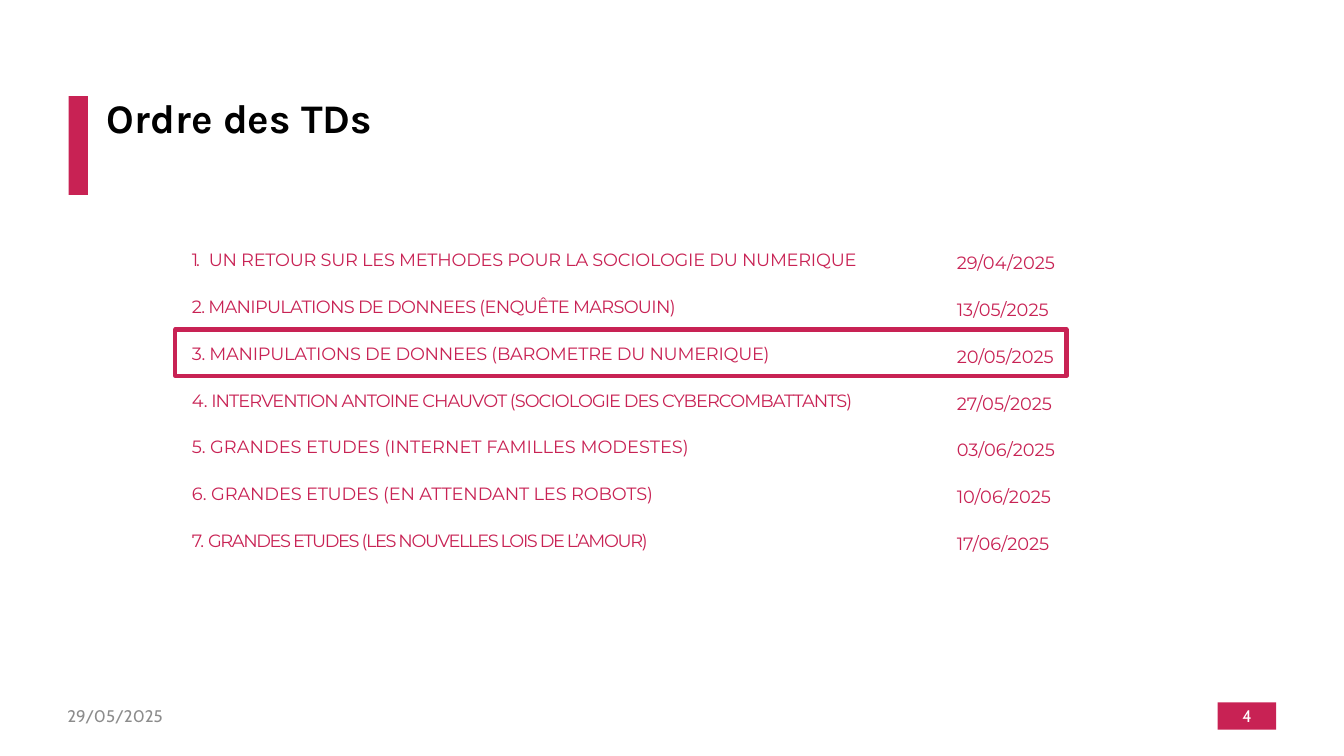
from dataclasses import dataclass

from pptx import Presentation
from pptx.dml.color import RGBColor
from pptx.enum.shapes import MSO_SHAPE as Preset
from pptx.enum.text import MSO_ANCHOR as Anchor, MSO_AUTO_SIZE as AutoSize, PP_ALIGN as Align
from pptx.shapes.autoshape import Shape
from pptx.shapes.shapetree import GroupShapes, SlideShapes
from pptx.text.text import TextFrame
from pptx.util import Pt

CRIMSON = RGBColor(0xC8, 0x22, 0x54)
BLACK = RGBColor(0, 0, 0)
GREY = RGBColor(0x8C, 0x8C, 0x8C)
WHITE = RGBColor(255, 255, 255)

TOPIC_LEFT, TOPIC_TOP = 136.08, 172.08
DATE_LEFT, DATE_TOP = 682.56, 174.24
ROW_PITCH, ROW_HEIGHT = 33.36, 21.6


@dataclass(frozen=True)
class Box:
    left: float
    top: float
    width: float
    height: float

    def lengths(self) -> tuple[Pt, Pt, Pt, Pt]:
        return Pt(self.left), Pt(self.top), Pt(self.width), Pt(self.height)


@dataclass(frozen=True)
class Style:
    font: str
    size: float
    color: RGBColor
    bold: bool = False


@dataclass(frozen=True)
class Span:
    text: str
    spacing: float = 0


@dataclass(frozen=True)
class Session:
    spans: tuple[Span, ...]
    topic_width: float
    date: str
    date_width: float


TITLE = Style("Karla", 29, BLACK, True)
LISTING = Style("Montserrat", 12.7, CRIMSON)
FOOTER = Style("Cabin", 12, GREY)
NUMBER = Style("Cabin", 12, WHITE)

SESSIONS = (
    Session((Span("1.", -1.4),
             Span("  UN RETOUR SUR LES METHODES POUR LA SOCIOLOGIE DU NUMERIQUE", -0.2)),
            532.8, "29/04/2025", 79.2),
    Session((Span("2. MANIPULATIONS DE DONNEES (ENQUÊTE MARSOUIN)", -0.5),),
            457.92, "13/05/2025", 205.2),
    Session((Span("3. MANIPULATIONS DE DONNEES (BAROMETRE DU NUMERIQUE)", -0.2),),
            449.28, "20/05/2025", 128.88),
    Session((Span("4."),
             Span(" INTERVENTION ANTOINE CHAUVOT (SOCIOLOGIE DES CYBERCOMBATTANTS)", -0.7)),
            532.8, "27/05/2025", 135.36),
    Session((Span("5. GRANDES ETUDES (INTERNET FAMILLES MODESTES)"),),
            400.32, "03/06/2025", 120.96),
    Session((Span("6. "), Span("GRANDES ETUDES (EN ATTENDANT LES ROBOTS)", -0.1)),
            491.04, "10/06/2025", 220.32),
    Session((Span("7. ", -0.6), Span("GRANDES ETUDES (LES NOUVELLES LOIS DE L’AMOUR)", -1)),
            400.32, "17/06/2025", 132.48),
)


def write(frame: TextFrame, spans: tuple[Span, ...], style: Style) -> None:
    frame.word_wrap = True
    frame.margin_left = frame.margin_top = frame.margin_right = frame.margin_bottom = 0
    frame.vertical_anchor = Anchor.MIDDLE
    paragraph = frame.paragraphs[0]
    for span in spans:
        run = paragraph.add_run()
        run.text = span.text
        run.font.name = style.font
        run.font.size = Pt(style.size)
        run.font.bold = style.bold
        run.font.color.rgb = style.color
        if span.spacing:
            run._r.get_or_add_rPr().set("spc", str(round(span.spacing * 100)))


def add_text(shapes: SlideShapes | GroupShapes, box: Box, spans: tuple[Span, ...],
             style: Style) -> TextFrame:
    frame = shapes.add_textbox(*box.lengths()).text_frame
    write(frame, spans, style)
    return frame


def add_list_entry(shapes: GroupShapes, box: Box, spans: tuple[Span, ...]) -> None:
    frame = add_text(shapes, box, spans, LISTING)
    frame.vertical_anchor = Anchor.TOP
    frame.margin_top = Pt(5.9)
    frame.auto_size = AutoSize.SHAPE_TO_FIT_TEXT
    paragraph = frame.paragraphs[0]
    paragraph.space_before = Pt(5.9)
    paragraph._p.get_or_add_pPr().set("marL", str(Pt(0.9)))


def add_bar(shapes: SlideShapes, box: Box) -> Shape:
    shape = shapes.add_shape(Preset.RECTANGLE, *box.lengths())
    shape.shadow.inherit = False
    shape.fill.solid()
    shape.fill.fore_color.rgb = CRIMSON
    shape.line.fill.background()
    return shape


def add_frame(shapes: SlideShapes, box: Box) -> None:
    shape = shapes.add_shape(Preset.RECTANGLE, *box.lengths())
    shape.shadow.inherit = False
    shape.fill.background()
    shape.line.color.rgb = CRIMSON
    shape.line.width = Pt(3)


def add_schedule(shapes: SlideShapes) -> None:
    topics = shapes.add_group_shape().shapes
    dates = shapes.add_group_shape().shapes
    for row, session in enumerate(SESSIONS):
        offset = row * ROW_PITCH
        add_list_entry(topics, Box(TOPIC_LEFT, TOPIC_TOP + offset, session.topic_width, ROW_HEIGHT),
                       session.spans)
        add_list_entry(dates, Box(DATE_LEFT, DATE_TOP + offset, session.date_width, ROW_HEIGHT),
                       (Span(session.date),))


def main() -> None:
    presentation = Presentation()
    presentation.slide_width = Pt(960)
    presentation.slide_height = Pt(540)
    slide = presentation.slides.add_slide(presentation.slide_layouts[6])
    shapes = slide.shapes

    add_bar(shapes, Box(49, 68.6, 13.8, 70.6))
    title = add_text(shapes, Box(76.3, 68.4, 658.8, 35.3), (Span("Ordre des TDs"),), TITLE)
    title.paragraphs[0].line_spacing = 0.9

    add_schedule(shapes)

    add_text(shapes, Box(48.2, 501.8, 221, 19.4), (Span("29/05/2025"),), FOOTER)
    page_number = add_bar(shapes, Box(869.8, 501.8, 41.8, 19.4)).text_frame
    write(page_number, (Span("4"),), NUMBER)
    page_number.paragraphs[0].alignment = Align.CENTER

    add_frame(shapes, Box(125.3, 235.4, 636.5, 33.1))
    presentation.save("out.pptx")


if __name__ == "__main__":
    main()
